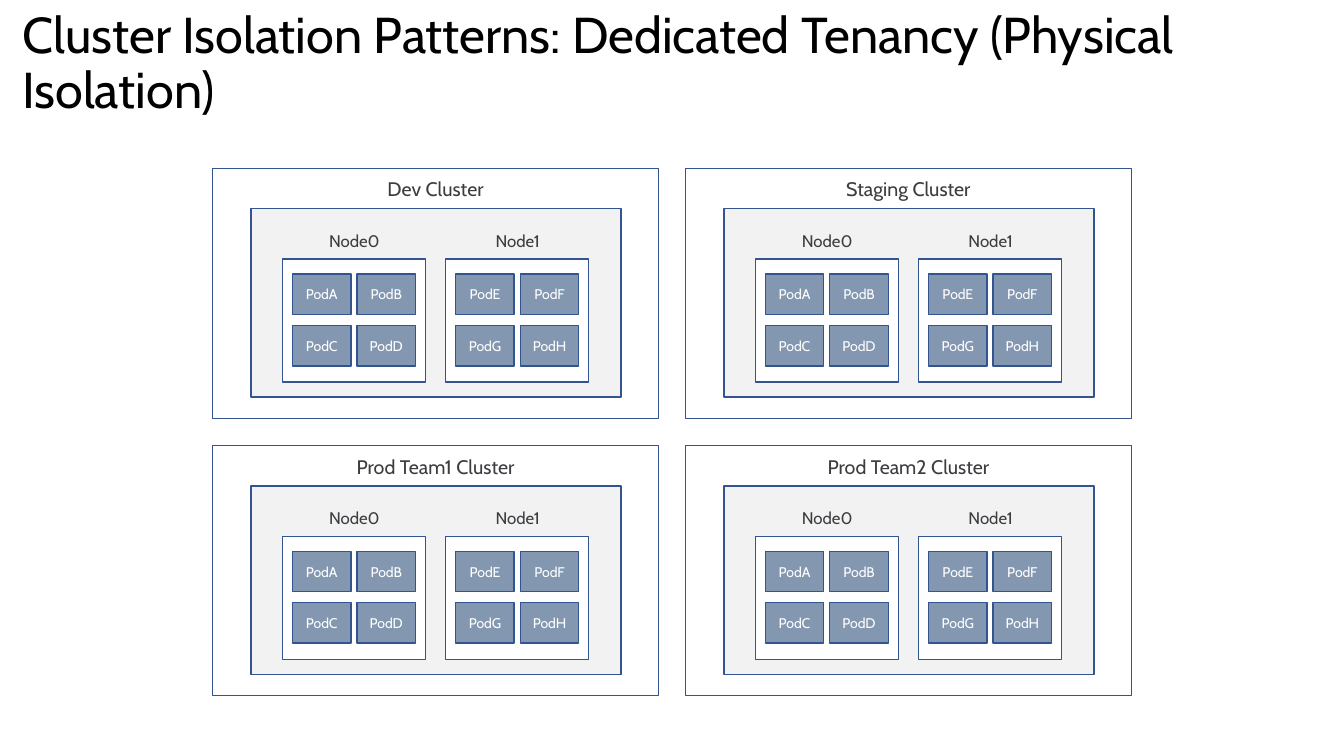
from dataclasses import dataclass

from pptx import Presentation
from pptx.dml.color import RGBColor
from pptx.enum.shapes import MSO_SHAPE
from pptx.enum.text import MSO_ANCHOR, MSO_AUTO_SIZE, PP_ALIGN
from pptx.shapes.autoshape import Shape
from pptx.shapes.shapetree import GroupShapes
from pptx.text.text import TextFrame
from pptx.util import Inches, Pt

RECT = MSO_SHAPE.RECTANGLE
MIDDLE = MSO_ANCHOR.MIDDLE
GROW = MSO_AUTO_SIZE.SHAPE_TO_FIT_TEXT
LEFT, CENTER = PP_ALIGN.LEFT, PP_ALIGN.CENTER

FONT = "Cabin"
WHITE, BLACK, INK = "FFFFFF", "000000", "3C3C41"
EDGE, PANEL, POD = "325491", "F2F2F2", "8497B0"


@dataclass(frozen=True)
class Box:
    left: float
    top: float
    width: float
    height: float

    def inside(self, outer: "Box") -> "Box":
        """Shift this box by the corner of the outer one."""
        return Box(outer.left + self.left, outer.top + self.top,
                   self.width, self.height)

    def emu(self) -> list[int]:
        return [Inches(n) for n in (self.left, self.top, self.width, self.height)]


@dataclass(frozen=True)
class Grid:
    first: Box
    col_step: float
    row_step: float = 0

    def cell(self, col: int, row: int = 0) -> Box:
        return Box(self.first.left + col * self.col_step,
                   self.first.top + row * self.row_step,
                   self.first.width, self.first.height)


@dataclass(frozen=True)
class Cluster:
    name: str
    col: int
    row: int


@dataclass(frozen=True)
class Node:
    name: str
    pods: str


TITLE = Box(0.12, 0.1, 13.22, 1.08)
CLUSTER_GRID = Grid(Box(2.11, 1.67, 4.42, 2.48), 4.69, 2.75)
# Places within a cluster
CLUSTER_LABEL = Box(1.22, 0.04, 1.98, 0.34)
NODE_PANEL = Box(0.38, 0.4, 3.67, 1.87)
NODE_GRID = Grid(Box(0.69, 0.9, 1.42, 1.22), 1.62)
# Places within a node
NODE_LABEL = Box(0.22, -0.33, 0.99, 0.31)
POD_GRID = Grid(Box(0.1, 0.15, 0.58, 0.4), 0.64, 0.51)

CLUSTERS = [
    Cluster("Dev Cluster", 0, 0),
    Cluster("Prod Team1 Cluster", 0, 1),
    Cluster("Staging Cluster", 1, 0),
    Cluster("Prod Team2 Cluster", 1, 1),
]
NODES = [Node("Node0", "ABCD"), Node("Node1", "EFGH")]


def color(code: str) -> RGBColor:
    return RGBColor.from_string(code)


def write(frame: TextFrame, text: str, size: int, ink: str,
          align: PP_ALIGN = CENTER) -> None:
    frame.word_wrap = True
    para = frame.paragraphs[0]
    para.alignment = align
    run = para.add_run()
    run.text = text
    for key, value in {"name": FONT, "size": Pt(size)}.items():
        setattr(run.font, key, value)
    run.font.color.rgb = color(ink)


def add_rect(shapes: GroupShapes, box: Box, fill: str) -> Shape:
    rect = shapes.add_shape(RECT, *box.emu())
    rect.shadow.inherit = False
    rect.fill.solid()
    rect.fill.fore_color.rgb = color(fill)
    rect.line.color.rgb = color(EDGE)
    rect.line.width = Pt(1)
    return rect


def add_label(shapes: GroupShapes, box: Box, text: str, size: int) -> None:
    frame = shapes.add_textbox(*box.emu()).text_frame
    write(frame, text, size, INK)
    frame.auto_size = GROW


def add_pod(shapes: GroupShapes, box: Box, name: str) -> None:
    frame = add_rect(shapes, box, POD).text_frame
    form = {"vertical_anchor": MIDDLE, "margin_left": 0, "margin_right": 0}
    for key, value in form.items():
        setattr(frame, key, value)
    write(frame, name, 10, WHITE)


def add_node(shapes: GroupShapes, box: Box, node: Node) -> None:
    add_rect(shapes, box, WHITE)
    add_label(shapes, NODE_LABEL.inside(box), node.name, 12)
    for i, letter in enumerate(node.pods):
        row, col = divmod(i, 2)
        add_pod(shapes, POD_GRID.cell(col, row).inside(box), f"Pod{letter}")


def add_cluster(shapes: GroupShapes, cluster: Cluster) -> None:
    box = CLUSTER_GRID.cell(cluster.col, cluster.row)
    add_rect(shapes, box, WHITE)
    add_label(shapes, CLUSTER_LABEL.inside(box), cluster.name, 14)
    add_rect(shapes, NODE_PANEL.inside(box), PANEL)
    for i, node in enumerate(NODES):
        add_node(shapes, NODE_GRID.cell(i).inside(box), node)


def set_title(title: Shape, text: str) -> None:
    title.left, title.top, title.width, title.height = TITLE.emu()
    frame = title.text_frame
    frame.vertical_anchor = MIDDLE
    write(frame, text, 36, BLACK, LEFT)
    frame.auto_size = MSO_AUTO_SIZE.NONE
    frame.paragraphs[0].line_spacing = 0.9


def main() -> None:
    deck = Presentation()
    deck.slide_width, deck.slide_height = Inches(13.33), Inches(7.5)
    slide = deck.slides.add_slide(deck.slide_layouts.get_by_name("Title Only"))
    set_title(slide.shapes.title, "Cluster Isolation Patterns: "
              "Dedicated Tenancy (Physical Isolation)")
    for cluster in CLUSTERS:
        add_cluster(slide.shapes.add_group_shape().shapes, cluster)
    deck.save("out.pptx")


if __name__ == "__main__":
    main()
